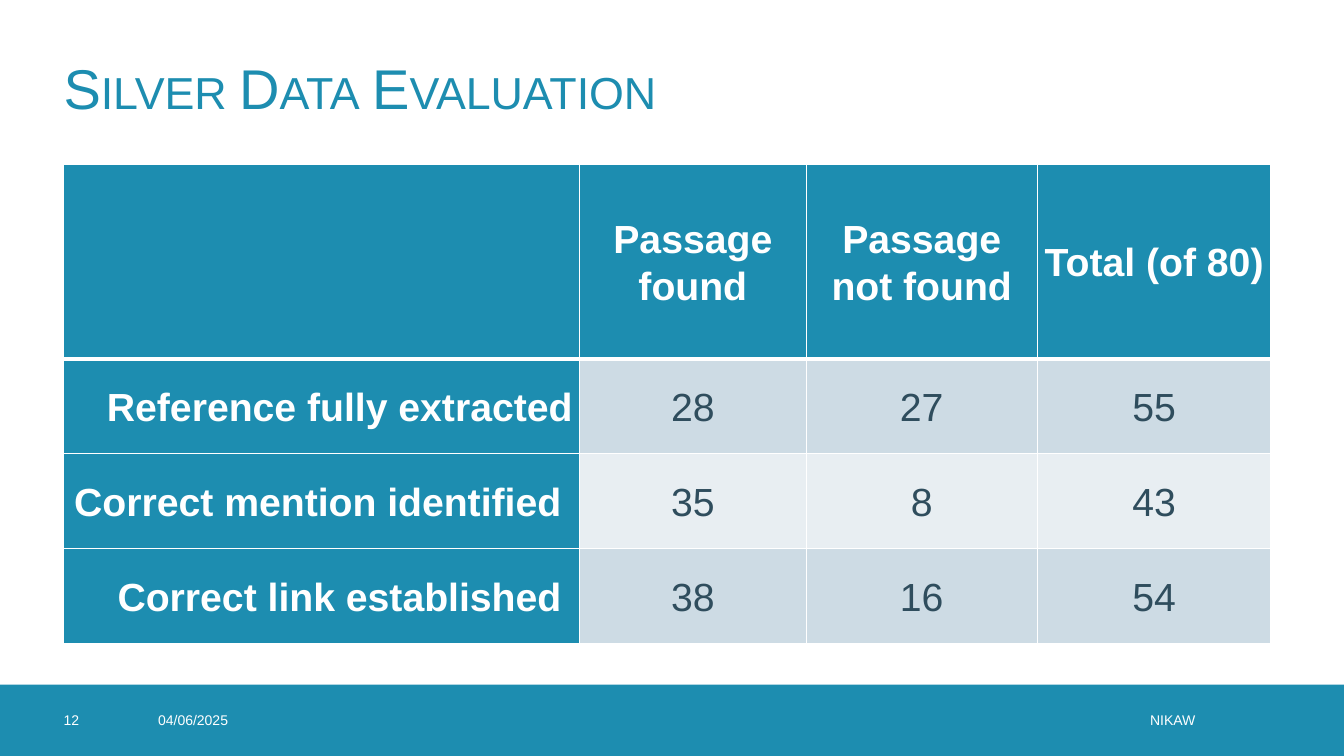
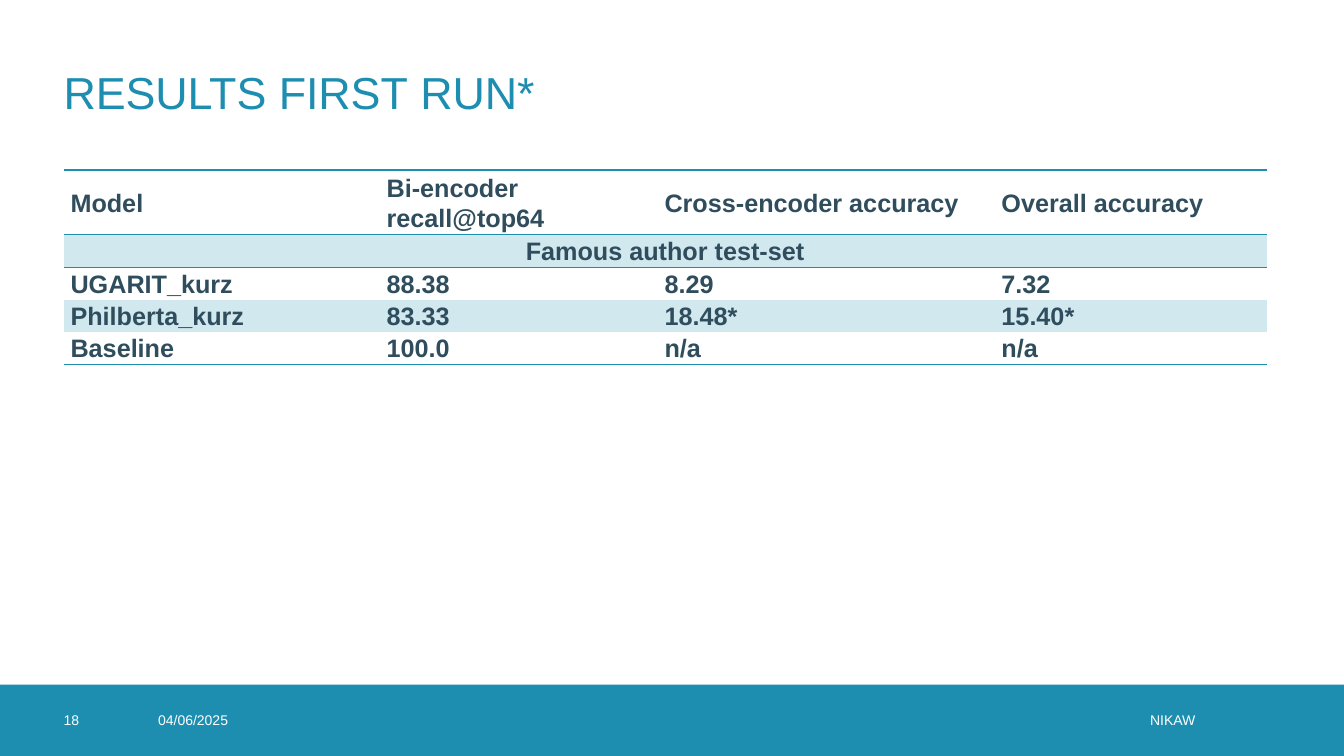
import pptx
import pptx.dml.color
import pptx.enum.shapes
import pptx.enum.text
import pptx.oxml
import pptx.util
from pptx.oxml.ns import nsdecls

Pt = pptx.util.Pt
RGBColor = pptx.dml.color.RGBColor
ALIGN = pptx.enum.text.PP_ALIGN
MIDDLE = pptx.enum.text.MSO_ANCHOR.MIDDLE

TEAL = RGBColor(0x1D, 0x8D, 0xB0)
PALE_TEAL = RGBColor(0xD2, 0xE8, 0xEF)
SLATE = RGBColor(0x2F, 0x4D, 0x5D)
BAND_DARK = RGBColor(0xCD, 0xDB, 0xE4)
BAND_LIGHT = RGBColor(0xE8, 0xEE, 0xF2)
WHITE = RGBColor(0xFF, 0xFF, 0xFF)

FONT = "Arial"
PLAIN_TABLE_STYLE = "{2D5ABB26-0587-4C30-8999-92F81FD0307C}"
MARGIN = 45.4
FOOTER_TOP = 489
FOOTER_HEIGHT = 51


def write_text(holder, text, size, color, bold=False, align=ALIGN.LEFT, insets=(0, 0)):
    frame = holder.text_frame
    frame.text = text
    holder.vertical_anchor = frame.vertical_anchor = MIDDLE
    edges = holder if hasattr(holder, "is_merge_origin") else frame
    edges.margin_left, edges.margin_right = Pt(insets[0]), Pt(insets[1])
    edges.margin_top = edges.margin_bottom = Pt(0)
    frame.word_wrap = True
    paragraph = frame.paragraphs[0]
    paragraph.alignment = align
    for run in paragraph.runs:
        run.font.name = FONT
        run.font.size = Pt(size)
        run.font.bold = bold
        run.font.color.rgb = color
    return paragraph


def set_borders(cell, color, **widths):
    properties = cell._tc.get_or_add_tcPr()
    sides = [side for side in ("L", "R", "T", "B") if side in widths]
    for position, side in enumerate(sides):
        properties.insert(position, pptx.oxml.parse_xml(
            f'<a:ln{side} {nsdecls("a")} w="{Pt(widths[side])}"><a:solidFill>'
            f'<a:srgbClr val="{color}"/></a:solidFill></a:ln{side}>'))


presentation = pptx.Presentation()
presentation.slide_width = Pt(960)
presentation.slide_height = Pt(540)

evaluation = {
    "title": "Silver Data Evaluation",
    "number": "12",
    "top": 117.5,
    "columns": [368.5, 162, 165, 167],
    "heights": [139, 67.7, 67.7, 67.7],
    "rows": [
        ["", "Passage found", "Passage not found", "Total (of 80)"],
        ["Reference fully extracted", "28", "27", "55"],
        ["Correct mention identified", "35", "8", "43"],
        ["Correct link established", "38", "16", "54"],
    ],
}
first_run = {
    "title": "results first run*",
    "number": "18",
    "top": 121.5,
    "columns": [225.8, 198.5, 240.7, 194.5],
    "heights": [43, 21.4, 21.4, 21.4, 21.4],
    "rows": [
        ["Model", "Bi-encoder recall@top64", "Cross-encoder accuracy", "Overall accuracy"],
        ["Famous author test-set", "", "", ""],
        ["UGARIT_kurz", "88.38", "8.29", "7.32"],
        ["Philberta_kurz", "83.33", "18.48*", "15.40*"],
        ["Baseline", "100.0", "n/a", "n/a"],
    ],
}

tables = []
for content in (evaluation, first_run):
    slide = presentation.slides.add_slide(presentation.slide_layouts[5])

    band = slide.shapes.add_shape(
        pptx.enum.shapes.MSO_SHAPE.RECTANGLE,
        Pt(0), Pt(FOOTER_TOP), Pt(960), Pt(FOOTER_HEIGHT))
    band.shadow.inherit = False
    band.fill.solid()
    band.fill.fore_color.rgb = TEAL
    band.line.fill.background()

    title = slide.shapes.title
    title.left, title.top, title.width, title.height = Pt(MARGIN), Pt(16.5), Pt(869), Pt(91)
    paragraph = write_text(title, content["title"], 40, TEAL)
    title.text_frame.auto_size = pptx.enum.text.MSO_AUTO_SIZE.NONE
    paragraph.runs[0].font._element.set("cap", "small")

    for text, left, width, align, right_inset in (
        (content["number"], MARGIN, 51, ALIGN.LEFT, 0),
        ("04/06/2025", 113, 57, ALIGN.LEFT, 0),
        ("NIKAW", 475, 393, ALIGN.RIGHT, 14.2),
    ):
        box = slide.shapes.add_textbox(Pt(left), Pt(FOOTER_TOP), Pt(width), Pt(FOOTER_HEIGHT))
        write_text(box, text, 10, WHITE, align=align, insets=(0, right_inset))

    rows, columns, heights = content["rows"], content["columns"], content["heights"]
    table = slide.shapes.add_table(
        len(rows), len(columns), Pt(MARGIN), Pt(content["top"]),
        Pt(sum(columns)), Pt(sum(heights))).table
    table.first_row = table.horz_banding = False
    table._tbl.tblPr[0].text = PLAIN_TABLE_STYLE
    for column, width in zip(table.columns, columns):
        column.width = Pt(width)
    for row, height in zip(table.rows, heights):
        row.height = Pt(height)
    tables.append(table)

evaluation_table, first_run_table = tables

for row_index, row in enumerate(evaluation["rows"]):
    for column_index, text in enumerate(row):
        cell = evaluation_table.cell(row_index, column_index)
        is_heading = row_index == 0 or column_index == 0
        align = ALIGN.RIGHT if column_index == 0 else ALIGN.CENTER
        right_inset = 13 if column_index == 0 and row_index > 1 else 5
        paragraph = write_text(cell, text, 28, WHITE if is_heading else SLATE,
                               is_heading, align, (5, right_inset))
        paragraph.line_spacing = 1.07
        cell.fill.solid()
        if is_heading:
            cell.fill.fore_color.rgb = TEAL
        else:
            cell.fill.fore_color.rgb = BAND_DARK if row_index % 2 else BAND_LIGHT
        set_borders(cell, WHITE, L=1, R=1,
                    T=3 if row_index == 1 else 1, B=3 if row_index == 0 else 1)

first_run_table.cell(1, 0).merge(first_run_table.cell(1, 3))
for row_index, row in enumerate(first_run["rows"]):
    for column_index, text in enumerate(row):
        cell = first_run_table.cell(row_index, column_index)
        align = ALIGN.CENTER if row_index == 1 else ALIGN.LEFT
        paragraph = write_text(cell, text, 18, SLATE, True, align, (5, 5))
        paragraph.line_spacing = 1.07
        if row_index % 2:
            cell.fill.solid()
            cell.fill.fore_color.rgb = PALE_TEAL
        else:
            cell.fill.background()
        if row_index == 0:
            set_borders(cell, TEAL, T=1, B=1)
        elif row_index == 1:
            set_borders(cell, TEAL, T=1)
        elif row_index == len(first_run["rows"]) - 1:
            set_borders(cell, TEAL, B=1)

presentation.save("out.pptx")
